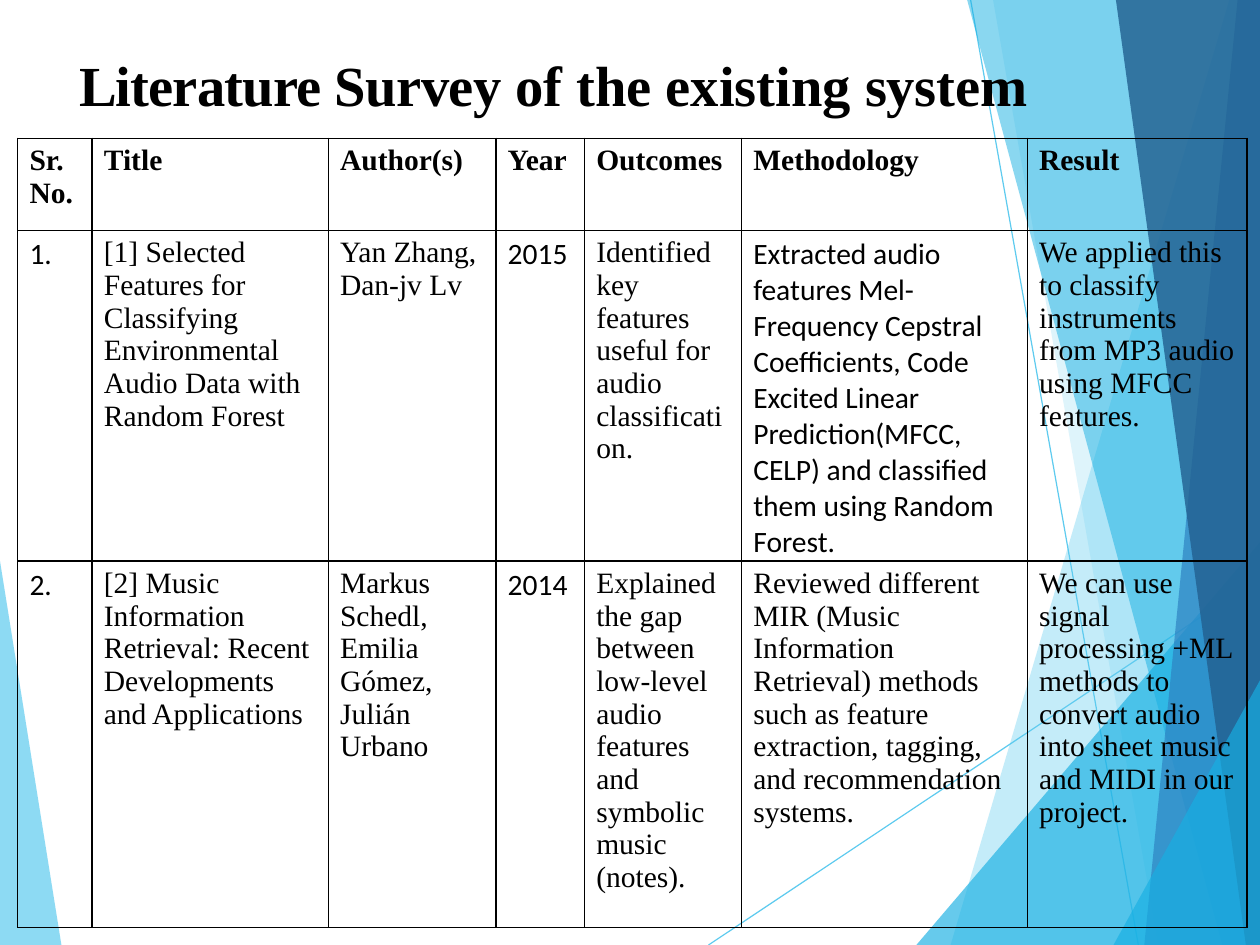
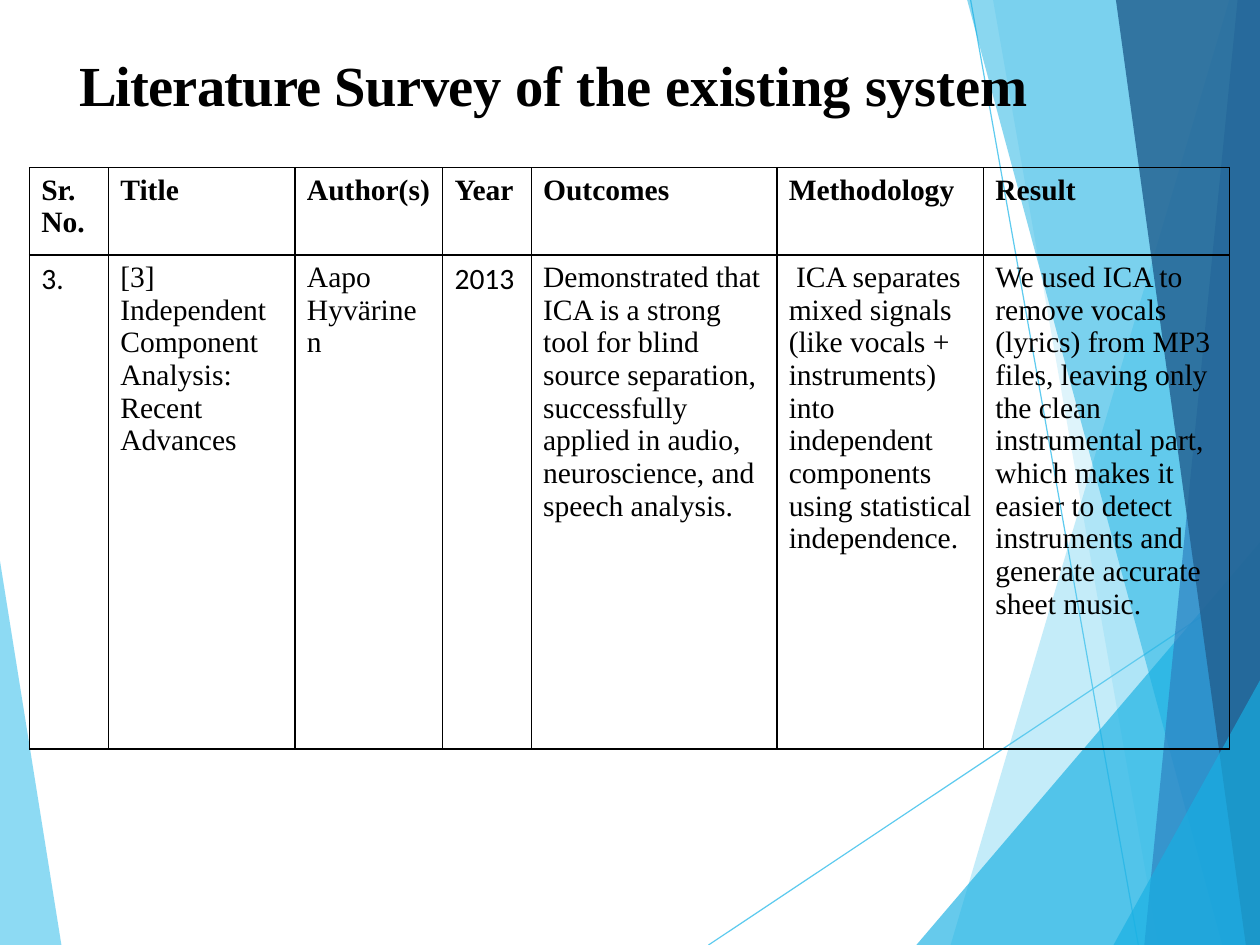
from dataclasses import dataclass

from lxml import etree
from pptx import Presentation
from pptx.dml.color import RGBColor
from pptx.enum.shapes import MSO_CONNECTOR
from pptx.oxml.ns import qn
from pptx.util import Inches, Pt

STRAIGHT = MSO_CONNECTOR.STRAIGHT
WIDTH, HEIGHT = 10.67, 8
SERIF, SANS = "Times New Roman", "Calibri"
BLACK = "000000"
SKY, CYAN, BLUE, NAVY = "5ECBEF", "17B0E3", "2E82C2", "236191"


@dataclass(frozen=True)
class Facet:
    color: str
    opacity: int
    points: tuple


@dataclass(frozen=True)
class Paper:
    cells: tuple
    sans_columns: tuple = (0, 3)


@dataclass(frozen=True)
class Survey:
    left: float
    top: float
    columns: tuple
    rows: tuple
    papers: tuple


CORNER = (WIDTH, HEIGHT)
TOP_CORNER = (WIDTH, 0)
FACETS_BELOW_LINES = (Facet(SKY, 70, ((0.52, HEIGHT), (0, HEIGHT), (0, 4.75))),)
FACETS_ABOVE_LINES = (
    Facet(SKY, 36, (CORNER, (8.05, HEIGHT), (10.41, 0), TOP_CORNER)),
    Facet(SKY, 20, (CORNER, (9.81, HEIGHT), (8.41, 0), TOP_CORNER)),
    Facet(CYAN, 66, (CORNER, (7.76, HEIGHT), (WIDTH, 4.59))),
    Facet(CYAN, 50, (CORNER, (10.35, HEIGHT), (8.19, 0), TOP_CORNER)),
    Facet(BLUE, 70, (CORNER, (9.69, HEIGHT), (10.48, 0), TOP_CORNER)),
    Facet(NAVY, 82, (CORNER, (10.55, HEIGHT), (9.45, 0), TOP_CORNER)),
    Facet(CYAN, 66, (CORNER, (9.43, HEIGHT), (WIDTH, 5.76))),
)
RAYS = ((6, HEIGHT, WIDTH, 4.89), (8.22, 0, 9.64, HEIGHT))

# Title runs with their letter spacing in points
TITLE = (("Literature ", -0.5), ("Survey ", -0.3), ("of the existing ", 0), ("system", -0.1))
HEADINGS = ("Sr.\nNo.", "Title", "Author(s)", "Year", "Outcomes", "Methodology", "Result")

SURVEYS = (
    Survey(0.15, 1.17, (0.63, 2, 1.42, 0.75, 1.33, 2.42, 1.86), (0.78, 2.42, 2.71), (
        Paper((
            "1.",
            "[1] Selected Features for Classifying Environmental Audio Data with Random Forest",
            "Yan Zhang, Dan-jv Lv",
            "2015",
            "Identified key features useful for audio classification.",
            "Extracted audio features Mel-Frequency Cepstral Coefficients, Code Excited Linear "
            "Prediction(MFCC, CELP) and classified them using Random Forest.",
            "We applied this to classify instruments from MP3 audio using MFCC features.",
        ), sans_columns=(0, 3, 5)),
        Paper((
            "2.",
            "[2] Music Information Retrieval: Recent Developments and Applications",
            "Markus Schedl, Emilia Gómez, Julián Urbano",
            "2014",
            "Explained the gap between low-level audio features and symbolic music (notes).",
            "Reviewed different MIR (Music Information Retrieval) methods such as feature "
            "extraction, tagging, and recommendation systems.",
            "We can use signal processing +ML methods to convert audio into sheet music "
            "and MIDI in our project.",
        )),
    )),
    Survey(0.25, 1.42, (0.67, 1.58, 1.25, 0.75, 2.08, 1.75, 2.08), (0.74, 4.18), (
        Paper((
            "3.",
            "[3] Independent Component Analysis: Recent Advances",
            "Aapo Hyvärinen",
            "2013",
            "Demonstrated that ICA is a strong tool for blind source separation, successfully "
            "applied in audio, neuroscience, and speech analysis.",
            " ICA separates mixed signals (like vocals + instruments) into independent "
            "components using statistical independence.",
            "We used ICA to remove vocals (lyrics) from MP3 files, leaving only the clean "
            "instrumental part, which makes it easier to detect instruments and generate "
            "accurate sheet music.",
        )),
    )),
)


def rgb(color: str) -> RGBColor:
    return RGBColor.from_string(color)


def add_run(paragraph, text: str, size: float, font: str, bold: bool):
    run = paragraph.add_run()
    run.text = text
    run.font.size = Pt(size)
    run.font.name = font
    run.font.bold = bold
    run.font.color.rgb = rgb(BLACK)
    return run


def draw_facet(slide, facet: Facet) -> None:
    start, *rest = [(Inches(x), Inches(y)) for x, y in facet.points]
    builder = slide.shapes.build_freeform(*start)
    builder.add_line_segments(rest, close=True)
    shape = builder.convert_to_shape()
    shape.shadow.inherit = False
    shape.line.fill.background()
    shape.fill.solid()
    shape.fill.fore_color.rgb = rgb(facet.color)
    color = shape._element.spPr.find(qn("a:solidFill"))[0]
    etree.SubElement(color, qn("a:alpha"), val=str(facet.opacity * 1000))


def draw_ray(slide, ends: tuple) -> None:
    ray = slide.shapes.add_connector(STRAIGHT, *(Inches(value) for value in ends))
    ray.line.color.rgb = rgb(SKY)
    ray.line.width = Pt(0.75)
    etree.SubElement(ray._element.spPr, qn("a:effectLst"))


def draw_background(slide) -> None:
    for facet in FACETS_BELOW_LINES:
        draw_facet(slide, facet)
    for ends in RAYS:
        draw_ray(slide, ends)
    for facet in FACETS_ABOVE_LINES:
        draw_facet(slide, facet)


def draw_title(slide) -> None:
    box = slide.shapes.add_textbox(Inches(0.67), Inches(0.42), Inches(9.07), Inches(0.58))
    frame = box.text_frame
    frame.word_wrap = True
    frame.margin_left = frame.margin_right = frame.margin_top = frame.margin_bottom = 0
    for text, spacing in TITLE:
        run = add_run(frame.paragraphs[0], text, 34.5, SERIF, True)
        run.font._element.set("spc", str(round(spacing * 100)))


def set_borders(cell) -> None:
    properties = cell._tc.get_or_add_tcPr()
    for side in ("lnL", "lnR", "lnT", "lnB"):
        line = etree.SubElement(properties, qn(f"a:{side}"), w=str(Pt(1)))
        fill = etree.SubElement(line, qn("a:solidFill"))
        etree.SubElement(fill, qn("a:srgbClr"), val=BLACK)


def fill_cell(cell, text: str, font: str, bold: bool) -> None:
    set_borders(cell)
    cell.fill.background()
    frame = cell.text_frame
    for index, line in enumerate(text.split("\n")):
        paragraph = frame.add_paragraph() if index else frame.paragraphs[0]
        add_run(paragraph, line, 18, font, bold)


def draw_survey(slide, survey: Survey) -> None:
    table = slide.shapes.add_table(
        len(survey.rows), len(survey.columns), Inches(survey.left), Inches(survey.top),
        Inches(sum(survey.columns)), Inches(sum(survey.rows))).table
    table.first_row = table.horz_banding = False
    for column, width in zip(table.columns, survey.columns):
        column.width = Inches(width)
    for row, height in zip(table.rows, survey.rows):
        row.height = Inches(height)
    for column, heading in enumerate(HEADINGS):
        fill_cell(table.cell(0, column), heading, SERIF, True)
    for row, paper in enumerate(survey.papers, start=1):
        for column, text in enumerate(paper.cells):
            font = SANS if column in paper.sans_columns else SERIF
            fill_cell(table.cell(row, column), text, font, False)


def main() -> None:
    deck = Presentation()
    deck.slide_width, deck.slide_height = Inches(WIDTH), Inches(HEIGHT)
    for survey in SURVEYS:
        slide = deck.slides.add_slide(deck.slide_layouts[6])
        draw_background(slide)
        draw_title(slide)
        draw_survey(slide, survey)
    deck.save("out.pptx")


if __name__ == "__main__":
    main()
